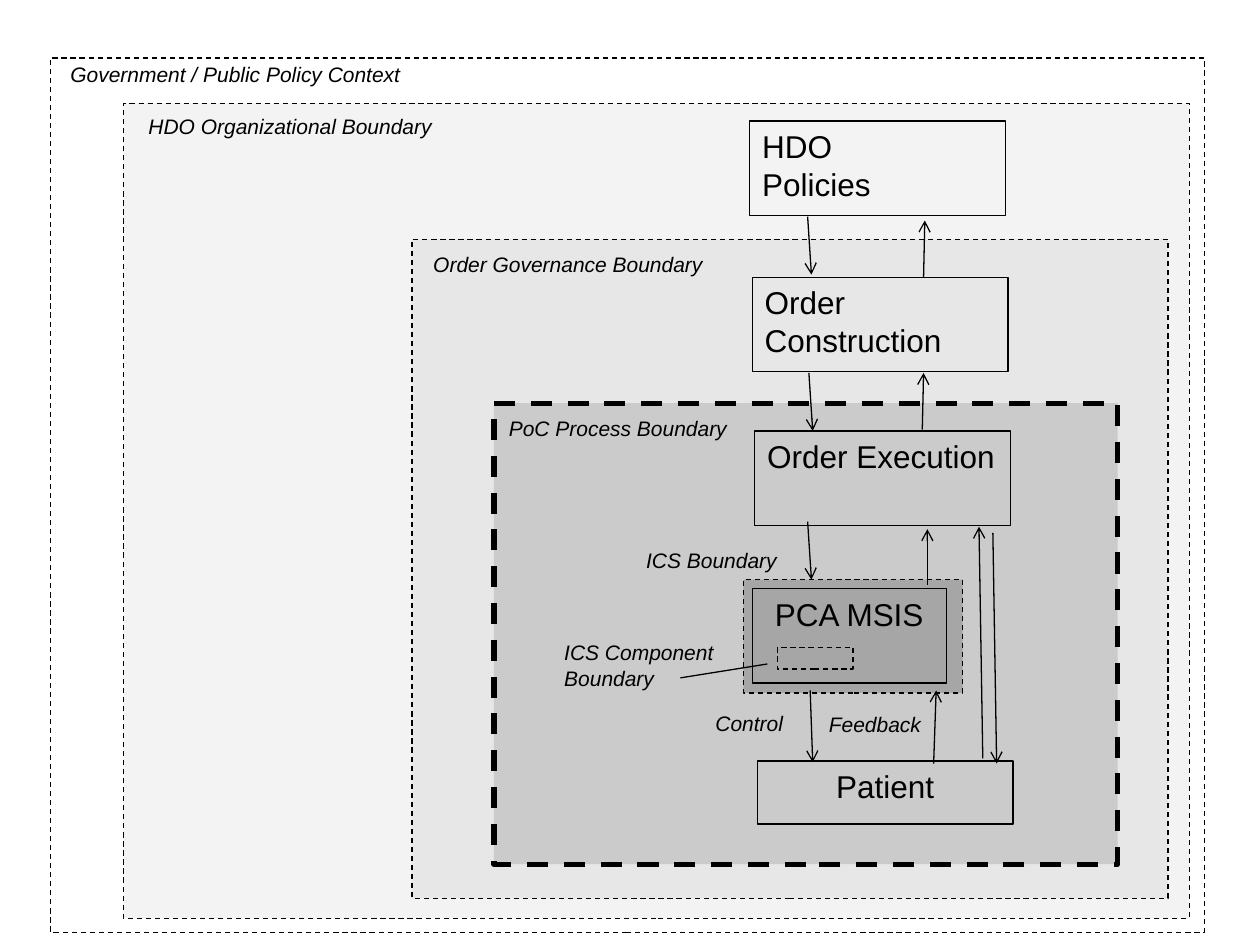
from lxml import etree
from pptx import Presentation
from pptx.dml.color import RGBColor
from pptx.enum.dml import MSO_LINE
from pptx.enum.shapes import MSO_CONNECTOR, MSO_SHAPE
from pptx.enum.text import MSO_ANCHOR, PP_ALIGN
from pptx.oxml.ns import qn
from pptx.util import Inches, Pt

RECTANGLE = MSO_SHAPE.RECTANGLE
STRAIGHT = MSO_CONNECTOR.STRAIGHT
DASH = MSO_LINE.DASH
TOP = MSO_ANCHOR.TOP
LEFT, CENTER = PP_ALIGN.LEFT, PP_ALIGN.CENTER

FONT = "Arial"
COLORS = {
    "ink": "000000",
    "organization": "F3F3F3",
    "governance": "E7E7E7",
    "process": "CBCBCB",
    "ics": "A6A6A6",
}


def color(name):
    return RGBColor.from_string(COLORS[name])


def write_text(shape, text, size=18, italic=False, align=LEFT, wrap=True):
    frame = shape.text_frame
    frame.word_wrap = wrap
    frame.vertical_anchor = TOP
    frame.text = text
    for paragraph in frame.paragraphs:
        paragraph.alignment = align
        font = paragraph.font
        font.name = FONT
        font.size = Pt(size)
        font.italic = italic
        font.color.rgb = color("ink")


def add_rectangle(slide, box, fill=None, weight=0.75, dashed=False):
    shape = slide.shapes.add_shape(RECTANGLE, *map(Inches, box))
    shape.shadow.inherit = False
    if fill:
        shape.fill.solid()
        shape.fill.fore_color.rgb = color(fill)
    else:
        shape.fill.background()
    shape.line.color.rgb = color("ink")
    shape.line.width = Pt(weight)
    if dashed:
        shape.line.dash_style = DASH
    return shape


def add_label(slide, box, text, wrap=False):
    label = slide.shapes.add_textbox(*map(Inches, box))
    write_text(label, text, size=12, italic=True, wrap=wrap)


def add_line(slide, start, end, arrow=True):
    connector = slide.shapes.add_connector(STRAIGHT, *map(Inches, (*start, *end)))
    connector.line.color.rgb = color("ink")
    connector.line.width = Pt(0.75)
    if arrow:
        line = connector.line._get_or_add_ln()
        etree.SubElement(line, qn("a:tailEnd"), type="arrow")
    properties = connector._element.spPr
    etree.SubElement(properties, qn("a:effectLst"))


def draw_boundary(slide, box, text, offset, label_width, fill=None, weight=0.75):
    left, top = box[:2]
    add_rectangle(slide, box, fill, weight, dashed=True)
    add_label(slide, (left + offset[0], top + offset[1], label_width, 0.3), text)


def draw_stage(slide, box, text, align=LEFT):
    write_text(add_rectangle(slide, box), text, align=align)


def draw_component(slide, box):
    left, top, width, height = box
    draw_stage(slide, box, "PCA MSIS", CENTER)
    add_rectangle(slide, (left + 0.2, top + 0.47, 0.6, 0.17), dashed=True)
    add_label(slide, (left - 1.59, top + 0.36, 1.4, 0.5), "ICS Component Boundary", wrap=True)
    add_line(slide, (left - 0.57, top + 0.71), (left + 0.12, top + 0.6), arrow=False)


def draw_flows(slide, box):
    left, top, width, height = box
    arrows = [
        (0.46, 0.76, 0.49, 1.22),
        (0.47, 2.0, 0.5, 2.46),
        (0.46, 3.18, 0.49, 3.64),
        (0.48, 4.52, 0.5, 5.09),
        (1.46, 5.1, 1.48, 4.52),
        (1.41, 3.68, 1.41, 3.24),
        (1.37, 2.45, 1.38, 2.0),
        (1.38, 1.24, 1.39, 0.79),
        (1.85, 5.06, 1.82, 3.22),
        (1.93, 3.27, 1.96, 5.1),
    ]
    for x1, y1, x2, y2 in arrows:
        add_line(slide, (left + x1, top + y1), (left + x2, top + y2))
    add_label(slide, (left - 0.37, top + 4.63, 0.79, 0.3), "Control")
    add_label(slide, (left + 0.53, top + 4.64, 1.02, 0.3), "Feedback")


def main():
    presentation = Presentation()
    presentation.slide_width = Inches(10)
    presentation.slide_height = Inches(7.5)
    slide = presentation.slides.add_slide(presentation.slide_layouts[6])

    draw_boundary(slide, (0.4, 0.46, 9.16, 6.94), "Government / Public Policy Context",
                  (0.06, -0.02), 2.89)
    draw_boundary(slide, (0.98, 0.82, 8.46, 6.47), "HDO Organizational Boundary",
                  (0.1, 0.03), 2.52, "organization")
    draw_boundary(slide, (3.27, 1.9, 6, 5.23), "Order Governance Boundary",
                  (0.07, 0.05), 2.4, "governance")
    draw_boundary(slide, (3.92, 3.2, 4.95, 3.66), "PoC Process Boundary",
                  (0.02, 0.05), 1.99, "process", weight=3)
    draw_boundary(slide, (5.9, 4.6, 1.74, 0.9), "ICS Boundary",
                  (-0.87, -0.3), 1.29, "ics")

    draw_stage(slide, (5.95, 0.96, 2.03, 0.75), "HDO\nPolicies")
    draw_stage(slide, (5.97, 2.2, 2.03, 0.75), "Order Construction")
    draw_stage(slide, (5.99, 3.42, 2.03, 0.75), "Order Execution")
    draw_component(slide, (5.97, 4.67, 1.54, 0.75))
    draw_stage(slide, (6.01, 6.04, 2.03, 0.5), "Patient", CENTER)
    draw_flows(slide, (5.95, 0.96, 2.09, 5.58))

    presentation.save("out.pptx")


if __name__ == "__main__":
    main()
